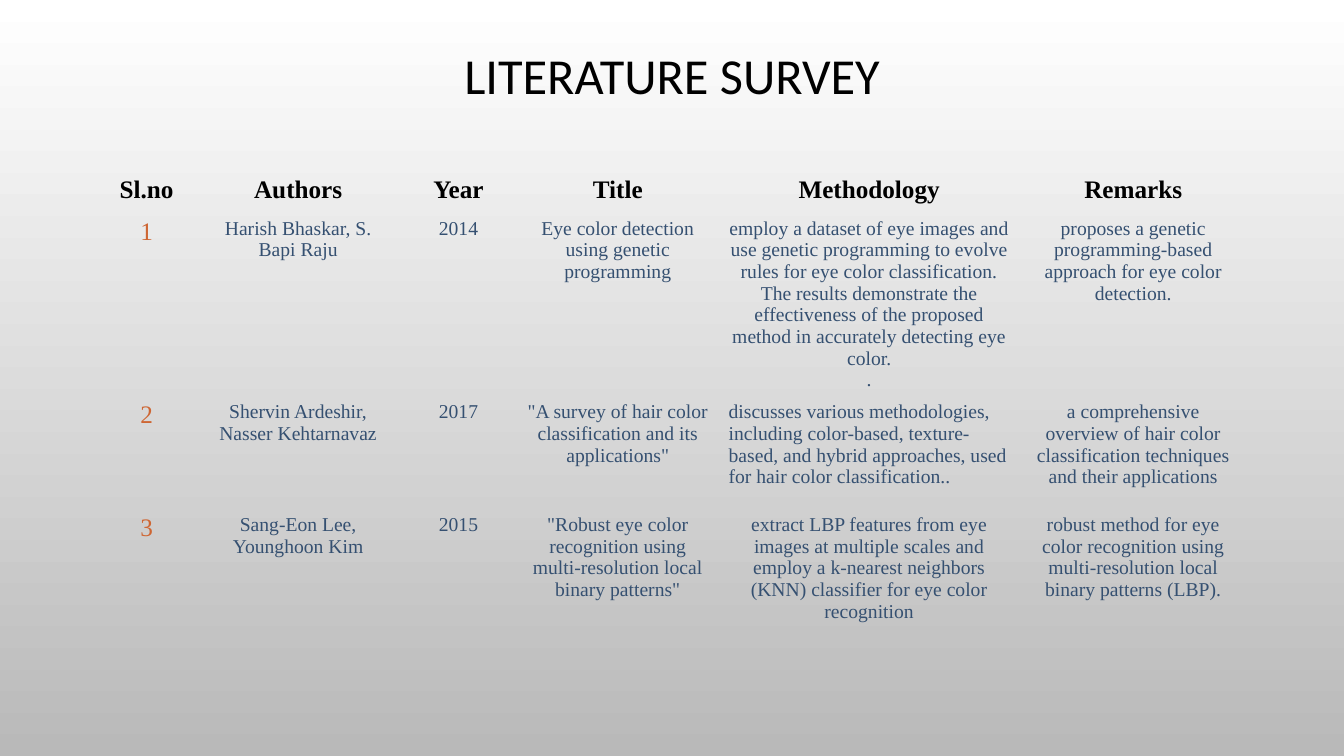
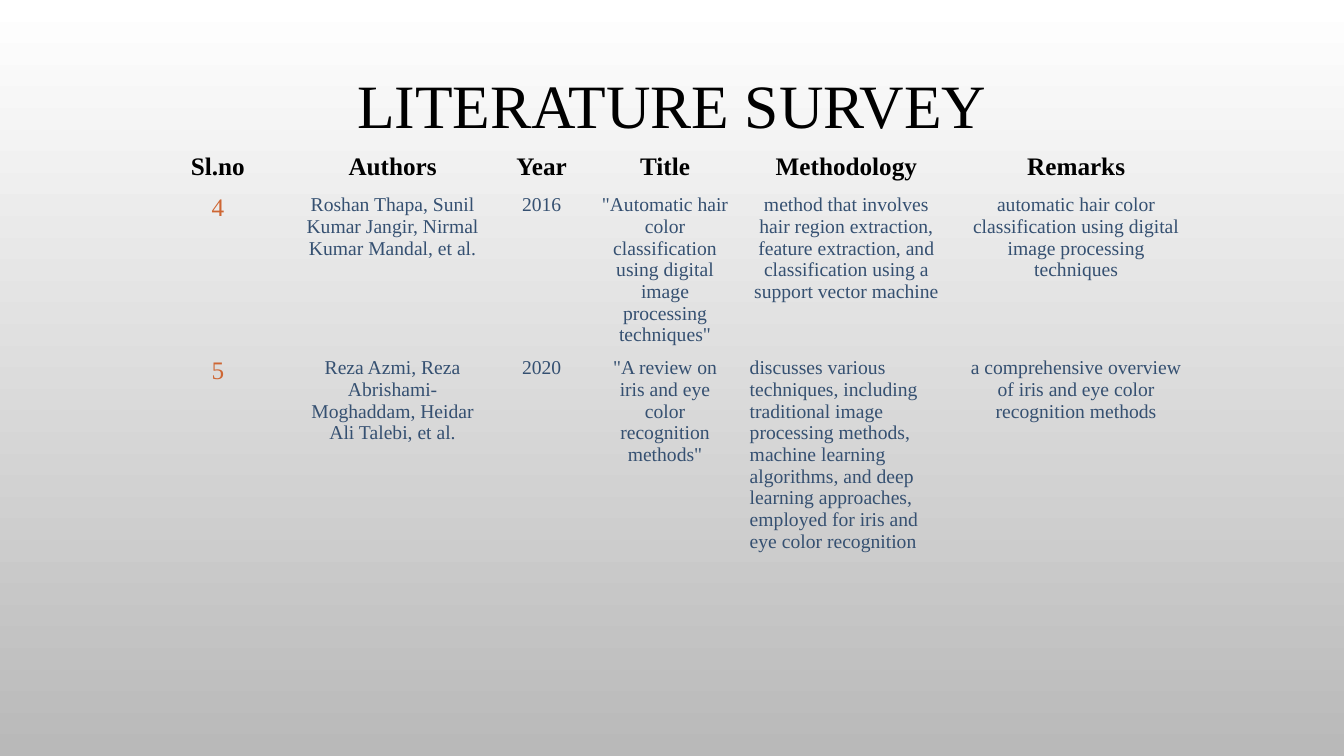
"""Build the two literature survey slides."""
from pptx import Presentation
from pptx.dml.color import RGBColor
from pptx.enum.text import MSO_ANCHOR as Anchor, MSO_AUTO_SIZE as AutoSize, PP_ALIGN as Align
from pptx.util import Cm, Pt

COLORS = {"top": "FFFFFF", "bottom": "B9B9B9", "heading": "000000",
          "number": "CE6633", "body": "355071"}
SERIF = "Times New Roman"
NO_GRID_STYLE = "{2D5ABB26-0587-4C30-8999-92F81FD0307C}"
TITLE = "LITERATURE SURVEY"
TITLE_LEFT, TITLE_WIDTH = 2.92, 28.04
HEADINGS = ("Sl.no", "Authors", "Year", "Title", "Methodology", "Remarks")
METHOD_COLUMN = HEADINGS.index("Methodology")
LEFT_ALIGNED_METHODS = {"2", "5"}

SURVEYS = [
    {
        "title": {"top": 0.81, "height": 2.01, "font": "Calibri", "size": 36},
        "left": 2.44, "top": 4.32,
        "columns": (2.51, 5.13, 2.95, 5.08, 7.59, 5.72),
        "rows": (1.04, 4.63, 2.84, 2.99),
        "papers": [
            ("1", "Harish Bhaskar, S. Bapi Raju", "2014",
             "Eye color detection using genetic programming",
             "employ a dataset of eye images and use genetic programming to evolve rules "
             "for eye color classification. The results demonstrate the effectiveness of "
             "the proposed method in accurately detecting eye color.\n.",
             "proposes a genetic programming-based approach for eye color detection."),
            ("2", "Shervin Ardeshir, Nasser Kehtarnavaz", "2017",
             '"A survey of hair color classification and its applications"',
             "discusses various methodologies, including color-based, texture-based, and "
             "hybrid approaches, used for hair color classification..",
             "a comprehensive overview of hair color classification techniques and their "
             "applications"),
            ("3", "Sang-Eon Lee, Younghoon Kim", "2015",
             '"Robust eye color recognition using multi-resolution local binary patterns"',
             "extract LBP features from eye images at multiple scales and employ a "
             "k-nearest neighbors (KNN) classifier for eye color recognition",
             "robust method for eye color recognition using multi-resolution local binary "
             "patterns (LBP)."),
        ],
    },
    {
        "title": {"top": 1.14, "height": 2.59, "font": SERIF, "size": 44},
        "left": 3.61, "top": 3.73,
        "columns": (3.76, 5.05, 2.46, 3.76, 5.38, 6.2),
        "rows": (1.04, 4.11, 5.18),
        "papers": [
            ("4", "Roshan Thapa, Sunil Kumar Jangir, Nirmal Kumar Mandal, et al.", "2016",
             '"Automatic hair color classification using digital image processing techniques"',
             "method that involves hair region extraction, feature extraction, and "
             "classification using a support vector machine",
             "automatic hair color classification using digital image processing techniques"),
            ("5", "Reza Azmi, Reza Abrishami-Moghaddam, Heidar Ali Talebi, et al.", "2020",
             '"A review on iris and eye color recognition methods"',
             "discusses various techniques, including traditional image processing methods, "
             "machine learning algorithms, and deep learning approaches, employed for iris "
             "and eye color recognition",
             "a comprehensive overview of iris and eye color recognition methods"),
        ],
    },
]


def write(frame, text, *, size, color, font=SERIF, bold=False, align=Align.CENTER):
    frame.text = text
    for para in frame.paragraphs:
        para.alignment = align
        for span in para.runs:
            span.font.name = font
            span.font.size = Pt(size)
            span.font.bold = bold
            span.font.color.rgb = RGBColor.from_string(COLORS[color])


def paint_background(master):
    fill = master.background.fill
    fill.gradient()
    fill.gradient_angle = 270
    for stop, name, position in zip(fill.gradient_stops, ("top", "bottom"), (0, 1)):
        stop.color.rgb = RGBColor.from_string(COLORS[name])
        stop.position = position


def add_title(page, top, height, font, size):
    box = page.shapes.title
    box.left, box.top = Cm(TITLE_LEFT), Cm(top)
    box.width, box.height = Cm(TITLE_WIDTH), Cm(height)
    frame = box.text_frame
    frame.auto_size = AutoSize.NONE
    frame.vertical_anchor = Anchor.BOTTOM
    frame.margin_left = frame.margin_right = frame.margin_top = Cm(0.25)
    frame.margin_bottom = Cm(0.18)
    write(frame, TITLE, size=size, color="heading", font=font)


def cell_format(row, column, number):
    if row == 0:
        return {"size": 18, "color": "heading", "bold": True}
    if column == 0:
        return {"size": 18, "color": "number"}
    left = column == METHOD_COLUMN and number in LEFT_ALIGNED_METHODS
    return {"size": 14, "color": "body", "align": Align.LEFT if left else Align.CENTER}


def add_survey_table(page, survey):
    columns, rows = survey["columns"], survey["rows"]
    table = page.shapes.add_table(
        len(rows), len(columns), Cm(survey["left"]), Cm(survey["top"]),
        Cm(sum(columns)), Cm(sum(rows))).table
    table.first_row = table.horz_banding = False
    table._tbl.tblPr[0].text = NO_GRID_STYLE
    for column, width in zip(table.columns, columns):
        column.width = Cm(width)
    for row, height in zip(table.rows, rows):
        row.height = Cm(height)
    for row, entries in enumerate([HEADINGS, *survey["papers"]]):
        for column, text in enumerate(entries):
            cell = table.cell(row, column)
            cell.fill.background()
            write(cell.text_frame, text, **cell_format(row, column, entries[0]))


def main():
    deck = Presentation()
    deck.slide_width, deck.slide_height = Cm(33.87), Cm(19.05)
    paint_background(deck.slide_master)
    for survey in SURVEYS:
        page = deck.slides.add_slide(deck.slide_layouts.get_by_name("Title Only"))
        add_title(page, **survey["title"])
        add_survey_table(page, survey)
    deck.save("out.pptx")


if __name__ == "__main__":
    main()
